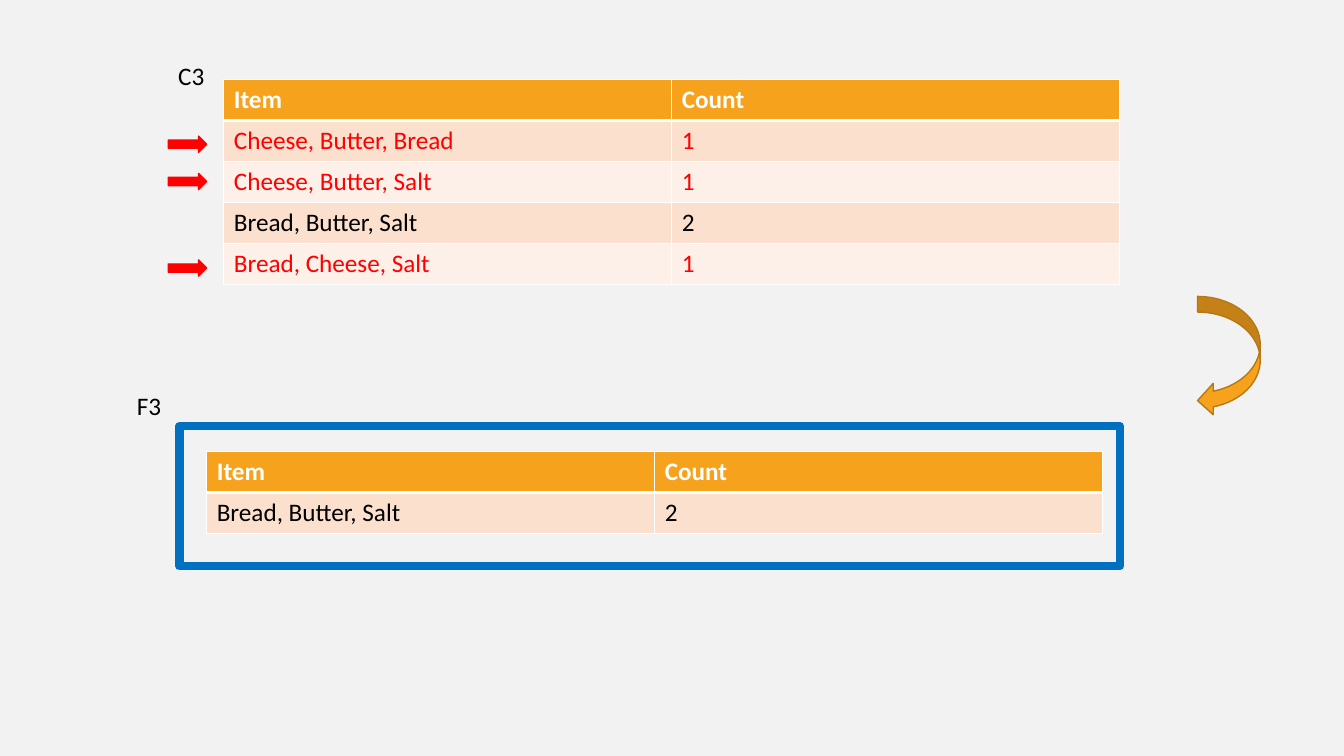
import dataclasses

import lxml.etree
import pptx
import pptx.dml.color
import pptx.enum.dml
import pptx.enum.shapes
import pptx.enum.text
import pptx.oxml.ns
import pptx.util

Cm = pptx.util.Cm
Pt = pptx.util.Pt
SHAPES = pptx.enum.shapes.MSO_SHAPE


@dataclasses.dataclass(frozen=True)
class Theme:
    font: str = "Calibri"
    size: int = 18
    background: str = "F2F2F2"
    text: str = "000000"
    white: str = "FFFFFF"
    accent: str = "F6A21D"
    accent_edge: str = "B67815"
    bands: tuple = ("FBE0CD", "FDF0E8")
    pruned: str = "FF0000"
    frame: str = "0070C0"
    grid: int = 1
    header_rule: int = 3
    frame_line: int = 6


THEME = Theme()
HEADER = ("Item", "Count")
MIN_COUNT = 2
CANDIDATES = [
    ("Cheese, Butter, Bread", 1),
    ("Cheese, Butter, Salt", 1),
    ("Bread, Butter, Salt", 2),
    ("Bread, Cheese, Salt", 1),
]
FREQUENT = [itemset for itemset in CANDIDATES if itemset[1] >= MIN_COUNT]
ROW_HEIGHT = 1.03


def rgb(value):
    return pptx.dml.color.RGBColor.from_string(value)


def write(frame, text, color, bold=False):
    run = frame.paragraphs[0].add_run()
    run.text = text
    formats = {"name": THEME.font, "size": Pt(THEME.size), "bold": bold}
    for attribute, value in formats.items():
        setattr(run.font, attribute, value)
    run.font.color.rgb = rgb(color)


def add_border(cell, side, width):
    qn = pptx.oxml.ns.qn
    properties = cell._tc.get_or_add_tcPr()
    line = lxml.etree.SubElement(properties, qn(f"a:ln{side}"), w=str(Pt(width)))
    fill = lxml.etree.SubElement(line, qn("a:solidFill"))
    lxml.etree.SubElement(fill, qn("a:srgbClr"), val=THEME.white)


def add_outlined(slide, kind, box, line, width, fill=None):
    shape = slide.shapes.add_shape(kind, *map(Cm, box))
    shape.shadow.inherit = False
    if fill:
        shape.fill.solid()
        shape.fill.fore_color.rgb = rgb(fill)
    else:
        shape.fill.background()
    shape.line.color.rgb = rgb(line)
    shape.line.width = Pt(width)


def add_label(slide, text, box):
    label = slide.shapes.add_textbox(*map(Cm, box)).text_frame
    label.word_wrap = False
    label.auto_size = pptx.enum.text.MSO_AUTO_SIZE.SHAPE_TO_FIT_TEXT
    write(label, text, THEME.text)


def add_itemset_table(slide, itemsets, left, top, width):
    rows = [HEADER, *itemsets]
    table = slide.shapes.add_table(
        len(rows), len(HEADER), Cm(left), Cm(top), Cm(width), Cm(ROW_HEIGHT * len(rows))
    ).table
    for number, values in enumerate(rows):
        is_header = number == 0
        if is_header:
            fill, color = THEME.accent, THEME.white
        else:
            fill = THEME.bands[(number - 1) % 2]
            color = THEME.text if values[1] >= MIN_COUNT else THEME.pruned
        # The header owns the rule it shares with the first body row
        sides = {"L": THEME.grid, "R": THEME.grid}
        if is_header:
            sides["T"] = THEME.grid
        sides["B"] = THEME.header_rule if is_header else THEME.grid
        for column, value in enumerate(values):
            cell = table.cell(number, column)
            for side, line_width in sides.items():
                add_border(cell, side, line_width)
            cell.fill.solid()
            cell.fill.fore_color.rgb = rgb(fill)
            write(cell.text_frame, str(value), color, bold=is_header)


def add_candidates(slide, left, top, width):
    # Candidate itemsets, with arrows at those to be pruned
    add_itemset_table(slide, CANDIDATES, left, top, width)
    for offset in (1.42, 2.36, 4.54):
        add_outlined(slide, SHAPES.RIGHT_ARROW, (left - 1.4, top + offset, 0.97, 0.41),
                     THEME.pruned, THEME.grid, THEME.pruned)
    add_label(slide, "C3", (left - 1.4, top - 0.61, 1.3, 1.02))


def add_frequent(slide, left, top, width, height):
    # Frequent itemsets inside the frame
    add_itemset_table(slide, FREQUENT, left + 0.69, top + 0.64, width - 1.12)
    add_outlined(slide, SHAPES.RECTANGLE, (left, top, width, height),
                 THEME.frame, THEME.frame_line)
    add_label(slide, "F3", (left - 1.32, top - 1.02, 1.14, 1.02))


def main():
    deck = pptx.Presentation()
    deck.slide_width, deck.slide_height = Cm(33.87), Cm(19.05)
    slide = deck.slides.add_slide(deck.slide_layouts[6])
    slide.background.fill.solid()
    slide.background.fill.fore_color.rgb = rgb(THEME.background)

    add_candidates(slide, 5.64, 2.01, 22.58)
    # Step from candidates to frequent itemsets
    add_outlined(slide, SHAPES.CURVED_LEFT_ARROW, (30.18, 7.47, 1.58, 3.02),
                 THEME.accent_edge, THEME.grid, THEME.accent)
    add_frequent(slide, 4.52, 10.74, 23.7, 3.53)
    deck.save("out.pptx")


if __name__ == "__main__":
    main()
